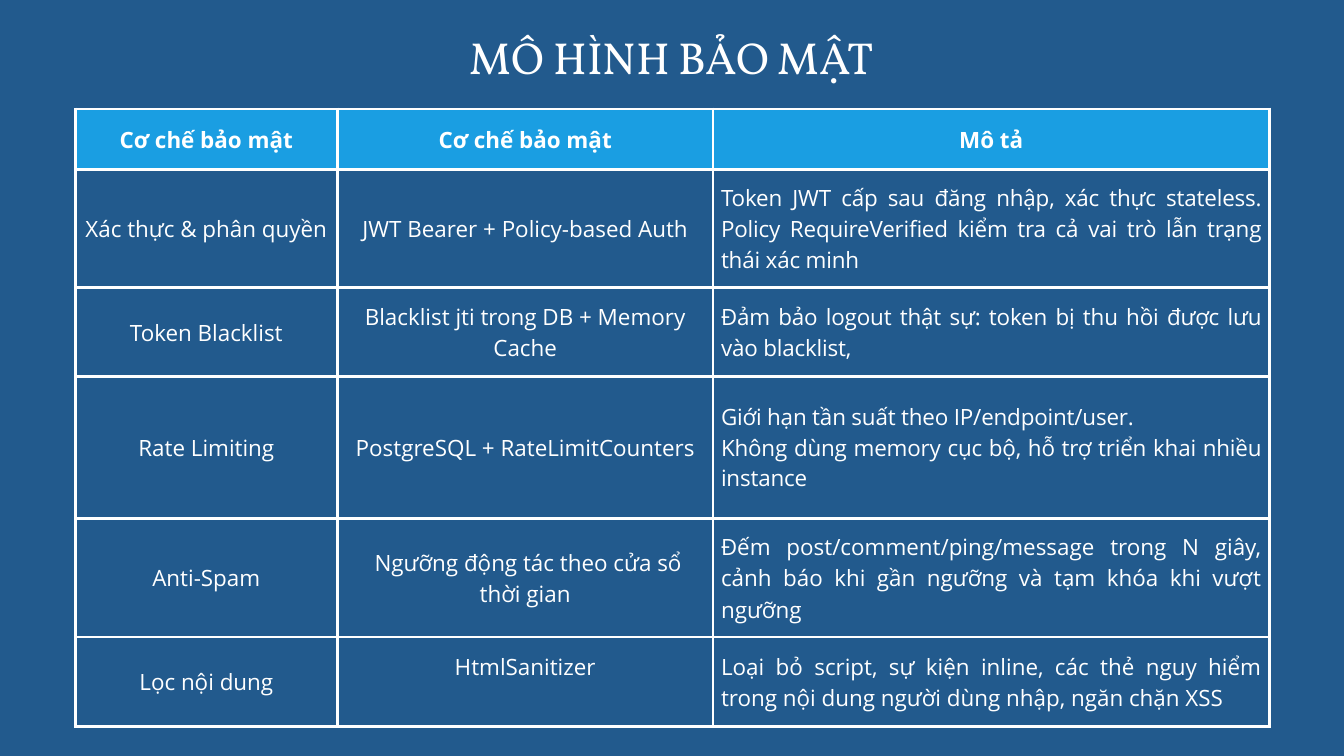
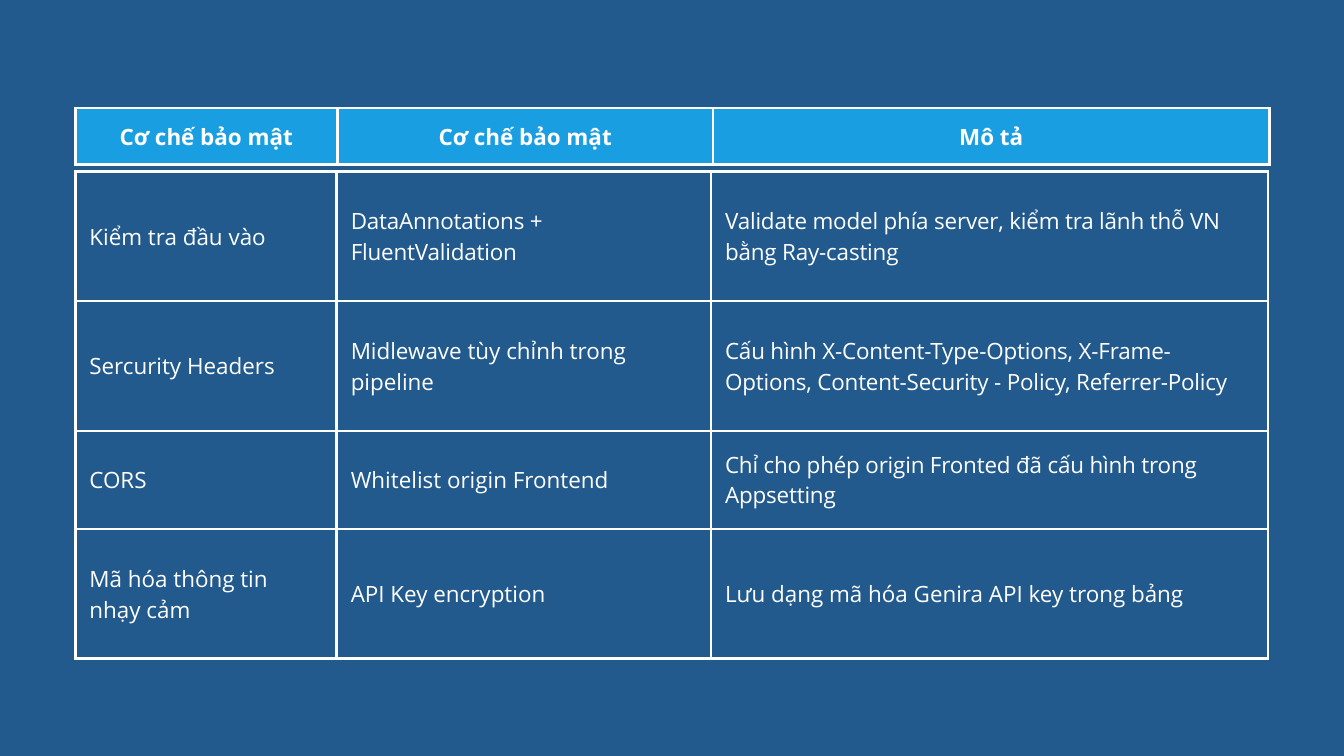
"""Build two slides that tabulate the security model of an application."""
from lxml import etree
from pptx import Presentation
from pptx.dml.color import RGBColor
from pptx.enum.text import MSO_ANCHOR, MSO_AUTO_SIZE, PP_ALIGN
from pptx.oxml.ns import qn
from pptx.util import Inches, Pt

NAVY = RGBColor(0x22, 0x5A, 0x8D)
SKY = RGBColor(0x1A, 0x9E, 0xE2)
WHITE = RGBColor(0xFF, 0xFF, 0xFF)
LEFT, CENTER, JUSTIFY = PP_ALIGN.LEFT, PP_ALIGN.CENTER, PP_ALIGN.JUSTIFY
TOP, MIDDLE = MSO_ANCHOR.TOP, MSO_ANCHOR.MIDDLE
FIT_SHAPE = MSO_AUTO_SIZE.SHAPE_TO_FIT_TEXT

TITLE_FONT, BODY_FONT = "Vollkorn", "Open Sans"
BODY_SIZE = 24
LINE_SPACING, SNUG_SPACING = 33.6, 32.9
TIGHT_TRACKING = "-20"
BORDER_WIDTH = 3
TABLE_LEFT = 1.12

TITLE = "MÔ HÌNH BẢO MẬT"
HEADER = ("Cơ chế bảo mật", "Cơ chế bảo mật", "Mô tả")

ACCESS_ROWS = [
    ("Xác thực & phân quyền", "JWT Bearer + Policy-based Auth",
     "Token JWT cấp sau đăng nhập, xác thực stateless. Policy RequireVerified "
     "kiểm tra cả vai trò lẫn trạng thái xác minh"),
    ("Token Blacklist", "Blacklist jti trong DB + Memory Cache",
     "Đảm bảo logout thật sự: token bị thu hồi được lưu vào blacklist,"),
    ("Rate Limiting", "PostgreSQL + RateLimitCounters",
     "Giới hạn tần suất theo IP/endpoint/user.\n"
     "Không dùng memory cục bộ, hỗ trợ triển khai nhiều instance"),
    ("Anti-Spam", " Ngưỡng động tác theo cửa sổ thời gian",
     "Đếm post/comment/ping/message trong N giây, cảnh báo khi gần ngưỡng "
     "và tạm khóa khi vượt ngưỡng"),
    ("Lọc nội dung", "HtmlSanitizer",
     "Loại bỏ script, sự kiện inline, các thẻ nguy hiểm trong nội dung "
     "người dùng nhập, ngăn chặn XSS"),
]
INPUT_ROWS = [
    ("Kiểm tra đầu vào", "DataAnnotations + FluentValidation",
     "Validate model phía server, kiểm tra lãnh thỗ VN bằng Ray-casting"),
    ("Sercurity Headers", "Midlewave tùy chỉnh trong pipeline",
     "Cấu hình X-Content-Type-Options, X-Frame-Options, "
     "Content-Security - Policy, Referrer-Policy"),
    ("CORS", "Whitelist origin Frontend",
     "Chỉ cho phép origin Fronted đã cấu hình trong Appsetting"),
    ("Mã hóa thông tin nhạy cảm", "API Key encryption",
     "Lưu dạng mã hóa Genira API key trong bảng"),
]

HEADER_COLUMNS = (3.9, 5.59, 8.28)
INPUT_COLUMNS = (3.89, 5.57, 8.29)
ACCESS_HEIGHTS = (0.9, 1.76, 1.32, 2.12, 1.76, 1.33)
INPUT_HEIGHTS = (1.93, 1.93, 1.46, 1.93)


def add_page(deck):
    """Add a blank page with the shared background."""
    page = deck.slides.add_slide(deck.slide_layouts[6])
    page.background.fill.solid()
    page.background.fill.fore_color.rgb = NAVY
    return page


def style_para(para, font, size, align, spacing, bold=False, tight=False):
    """Format one paragraph and its runs."""
    para.alignment = align
    para.line_spacing = Pt(spacing)
    for span in para.runs:
        span.font.name = font
        span.font.size = Pt(size)
        span.font.bold = bold
        span.font.color.rgb = WHITE
        if tight:
            span._r.get_or_add_rPr().set("spc", TIGHT_TRACKING)


def add_borders(cell):
    """Draw a white line on each side of a cell."""
    properties = cell._tc.get_or_add_tcPr()
    for side in ("a:lnL", "a:lnR", "a:lnT", "a:lnB"):
        line = etree.SubElement(properties, qn(side), w=str(Pt(BORDER_WIDTH)))
        fill = etree.SubElement(line, qn("a:solidFill"))
        etree.SubElement(fill, qn("a:srgbClr"), val=str(WHITE))


def add_grid(page, top, columns, heights, rows, aligns, inset,
             has_header=False, tight=(), snug=()):
    """Add a bordered table and return it."""
    frame = page.shapes.add_table(
        len(rows), len(columns), Inches(TABLE_LEFT), Inches(top),
        Inches(sum(columns)), Inches(sum(heights)))
    table = frame.table
    table.first_row = table.horz_banding = False
    for column, width in zip(table.columns, columns):
        column.width = Inches(width)
    for row, height in zip(table.rows, heights):
        row.height = Inches(height)
    for r, texts in enumerate(rows):
        is_header = has_header and r == 0
        for c, text in enumerate(texts):
            cell = table.cell(r, c)
            cell.text_frame.text = text
            cell.vertical_anchor = MIDDLE
            cell.margin_left = cell.margin_right = Inches(inset)
            cell.margin_top = cell.margin_bottom = Inches(inset)
            add_borders(cell)
            if is_header:
                cell.fill.solid()
                cell.fill.fore_color.rgb = SKY
            else:
                cell.fill.background()
            for para in cell.text_frame.paragraphs:
                style_para(para, BODY_FONT, BODY_SIZE,
                           CENTER if is_header else aligns[c],
                           SNUG_SPACING if (r, c) in snug else LINE_SPACING,
                           is_header, (r, c) in tight)
    return table


def add_title(page):
    """Add the centred title."""
    box = page.shapes.add_textbox(Inches(5.6), Inches(0.31), Inches(8.8), Inches(0.9))
    frame = box.text_frame
    frame.word_wrap = True
    frame.auto_size = FIT_SHAPE
    frame.margin_left = frame.margin_right = 0
    frame.margin_top = frame.margin_bottom = 0
    frame.text = TITLE
    style_para(frame.paragraphs[0], TITLE_FONT, 48, CENTER, 67.2)


def main():
    """Build and save the deck."""
    deck = Presentation()
    deck.slide_width, deck.slide_height = Inches(20), Inches(11.25)

    page = add_page(deck)
    access = add_grid(page, 1.62, HEADER_COLUMNS, ACCESS_HEIGHTS,
                      [HEADER] + ACCESS_ROWS, (CENTER, CENTER, JUSTIFY), 0.12,
                      has_header=True, tight={(1, 2), (2, 2), (3, 2)}, snug={(3, 2)})
    sanitizer = access.cell(5, 1)
    sanitizer.vertical_anchor = TOP
    sanitizer.margin_top = Inches(0.2)
    add_title(page)

    page = add_page(deck)
    add_grid(page, 2.55, INPUT_COLUMNS, INPUT_HEIGHTS, INPUT_ROWS,
             (LEFT, LEFT, LEFT), 0.21,
             tight={(0, 1), (0, 2), (1, 2), (2, 2)}, snug={(2, 2)})
    add_grid(page, 1.61, HEADER_COLUMNS, (0.84,), [HEADER],
             (CENTER, CENTER, CENTER), 0.12, has_header=True)

    deck.save("out.pptx")


if __name__ == "__main__":
    main()
